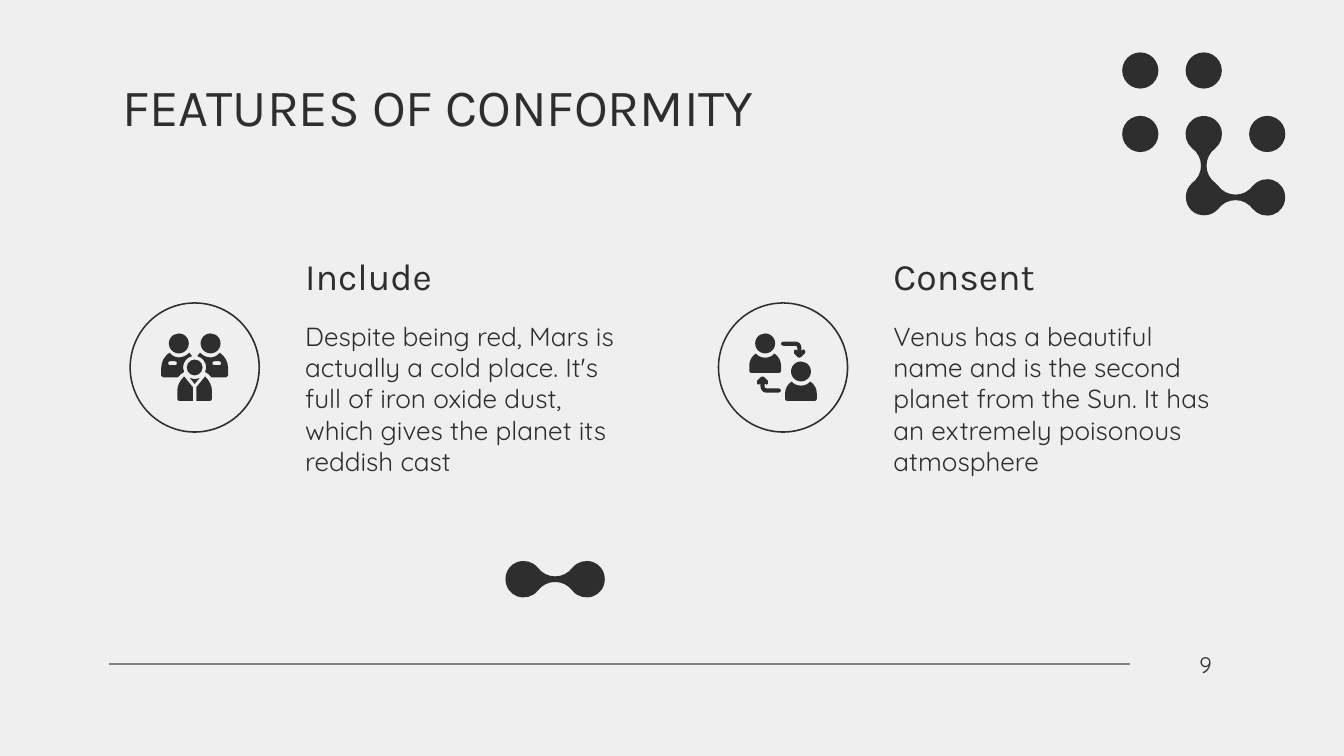
from pptx import Presentation
from pptx.dml.color import RGBColor
from pptx.enum.shapes import MSO_CONNECTOR as Connector, MSO_SHAPE as Shape
from pptx.enum.text import MSO_ANCHOR as Anchor, PP_ALIGN as Align
from pptx.oxml.ns import qn
from pptx.util import Pt
from lxml import etree

INK, PAPER, RULE = "2E2E2E", "EFEFEF", "838383"
TITLE = {"name": "Karla", "size": Pt(28)}
HEADING = {"name": "Karla", "size": Pt(20)}
BODY = {"name": "Quicksand", "size": Pt(14)}
NUMBER = {"name": "Quicksand", "size": Pt(12)}

# Outlines in points: a pair is a corner, six numbers are a Bezier curve
BOND_QUARTER = [(-26.6, 0), (-26.6, 4.3, -23.9, 8, -20.2, 9.2),
                (-16.2, 10.5, -12, 9.4, -9.4, 6.3), (-7, 3.2, -3.8, 1.5, 0, 1.5)]
ELBOW_HALF = [(-6.8, 6.8), (-10.6, 3, -10.6, -3.8, -6.3, -7.6),
              (-3.2, -10, -1.5, -13.2, -1.5, -17), (-1.5, -20.8, -3.2, -24, -6.3, -26.4),
              (-9.4, -29, -10.5, -33.2, -9.2, -37.2), (-8, -40.9, -4.3, -43.6, 0, -43.6),
              (4.3, -43.6, 8, -40.9, 9.2, -37.2), (10.5, -33.2, 9.4, -29, 6.3, -26.4),
              (3.2, -24, 1.5, -20.8, 1.5, -17), (1.5, -13.2, 3.2, -10, 6.3, -7.6), (7, -7)]
PERSON_HALF = [(0, 7.6), (-2, 7.6, -3.7, 6.9, -5, 5.4),
               (-7.2, 6.9, -8.5, 9.2, -8.5, 11.8), (-8.5, 14.7),
               (-8.5, 15.4, -8, 15.8, -7.3, 15.8), (0, 15.8)]
FRONT_HALF = [(-5.6, 4.8), (-7.9, 6.9, -9.3, 9.8, -9.3, 12.7), (-9.3, 17),
              (-9.3, 17.6, -9, 17.9, -8.5, 17.9), (-0.9, 17.9), (-0.9, 10.6)]
COLLAR = [(-2.6, 5.6), (0, 8.8), (2.6, 5.6), (1, 6.5, -1, 6.5, -2.6, 5.6)]
BACK_BODY = [(-13.4, -8), (-16.2, -6.1, -17.9, -3.1, -17.9, 0.2), (-17.9, 4.3),
             (-17.9, 4.9, -17.5, 5.3, -16.9, 5.3), (-9, 5.3),
             (-8, 4, -7, 3, -5.6, 2.4), (-6, 1.7, -6.2, 1, -6.2, 0.2),
             (-6.2, -3, -4.2, -5.4, -1.4, -6.1), (-1.8, -6.8, -2.3, -7.4, -2.9, -8),
             (-4.3, -6.4, -6.3, -5.4, -8.5, -5.4), (-10.5, -5.4, -12.3, -6.4, -13.4, -8)]
BADGE = [(-10.6, -3.4), (-9.1, -3.4, -9.1, -1.2, -10.6, -1.2), (-13.1, -1.2),
         (-14.6, -1.2, -14.6, -3.4, -13.1, -3.4)]
ARROW = [(1.4, -13.7), (-0.4, -13.7, -0.4, -11.4, 1.4, -11.4), (7.9, -11.4),
         (8.5, -11.4, 8.8, -11, 8.8, -10.2), (8.8, -8.8), (8.2, -9.6, 7.4, -9.5, 7, -9),
         (6.6, -8.4, 6.6, -7.8, 7, -7.3), (9, -5.3), (9.5, -4.9, 10.2, -4.9, 10.7, -5.3),
         (12.8, -7.3), (13.2, -7.8, 13.2, -8.4, 12.8, -9),
         (12.3, -9.6, 11.6, -9.6, 11, -8.8), (11, -10.2),
         (11, -12.2, 9.6, -13.7, 7.9, -13.7)]


def color(value):
    return RGBColor.from_string(value)


def pairs(part):
    return list(zip(part[::2], part[1::2]))


def scaled(outline, across, down):
    return [tuple(v for x, y in pairs(part) for v in (x * across, y * down))
            for part in outline]


def backward(outline):
    ends = [part[-2:] for part in outline]
    turned = [ends[-1]]
    for part, end in zip(outline[:0:-1], ends[-2::-1]):
        turned.append(part[2:4] + part[:2] + end if len(part) == 6 else end)
    return turned


def joined(half, mirror):
    return half + backward(mirror)[1:]


def paint(shape):
    shape.shadow.inherit = False
    shape.fill.solid()
    shape.fill.fore_color.rgb = color(INK)
    shape.line.fill.background()
    return shape


def bend(shape, parts):
    """Turn the three line segments of each curve into one Bezier segment."""
    lines = iter(list(shape._element.iter(qn("a:lnTo"))))
    for part in parts:
        segment = next(lines)
        if len(part) == 6:
            segment.tag = qn("a:cubicBezTo")
            for extra in (next(lines), next(lines)):
                segment.append(extra[0])
                extra.getparent().remove(extra)


def add_outline(slide, x, y, *contours):
    moved = [[(Pt(x + dx), Pt(y + dy)) for part in contour for dx, dy in pairs(part)]
             for contour in contours]
    builder = slide.shapes.build_freeform(*moved[0][0])
    for index, points in enumerate(moved):
        if index:
            builder.move_to(*points[0])
        builder.add_line_segments(points[1:], close=True)
    shape = paint(builder.convert_to_shape())
    bend(shape, [part for contour in contours for part in contour[1:]])


def add_round(slide, x, y, size, kind=Shape.OVAL):
    corner = Pt(x - size / 2), Pt(y - size / 2)
    return paint(slide.shapes.add_shape(kind, *corner, Pt(size), Pt(size)))


def add_bond(slide, x, y):
    half = joined(BOND_QUARTER, scaled(BOND_QUARTER, -1, 1))
    add_outline(slide, x, y, joined(half, scaled(half, 1, -1)))


def add_elbow(slide, x, y):
    mirror = [tuple(-v for dx, dy in pairs(part) for v in (dy, dx)) for part in ELBOW_HALF]
    add_outline(slide, x, y, joined(ELBOW_HALF, mirror))


def add_person(slide, x, y):
    add_round(slide, x, y, 10.7)
    add_outline(slide, x, y, joined(PERSON_HALF, scaled(PERSON_HALF, -1, 1)))


def add_group_icon(slide, x, y):
    add_round(slide, x, y, 8.5)
    add_outline(slide, x, y, COLLAR)
    for side in (1, -1):
        add_round(slide, x - 8.5 * side, y - 12.9, 10.7)
        add_outline(slide, x, y, scaled(FRONT_HALF, side, 1))
        add_outline(slide, x, y, scaled(BACK_BODY, side, 1), scaled(BADGE, side, 1))


def add_exchange_icon(slide, x, y):
    add_person(slide, x - 9.6, y - 12.9)
    add_person(slide, x + 9.6, y + 2.1)
    for turn in (1, -1):
        add_outline(slide, x - 1.1, y - 0.2, scaled(ARROW, turn, turn))


def fill_text(box, text, font, align=Align.LEFT):
    frame = box.text_frame
    margins = {f"margin_{side}": Pt(7.2) for side in ("left", "top", "right", "bottom")}
    for name, value in {"word_wrap": True, "vertical_anchor": Anchor.MIDDLE, **margins}.items():
        setattr(frame, name, value)
    para = frame.paragraphs[0]
    para.alignment = align
    span = para.add_run()
    span.text = text
    for name, value in font.items():
        setattr(span.font, name, value)
    span.font.color.rgb = color(INK)


def add_text(slide, bounds, text, font, align=Align.LEFT):
    fill_text(slide.shapes.add_textbox(*map(Pt, bounds)), text, font, align)


def add_rule(slide, left, right, y):
    rule = slide.shapes.add_connector(Connector.STRAIGHT, Pt(right), Pt(y), Pt(left), Pt(y))
    rule.line.color.rgb = color(RULE)
    rule.line.width = Pt(0.75)
    etree.SubElement(rule._element.spPr, qn("a:effectLst"))


def add_feature(slide, left, heading, text, add_icon):
    x, y = left + 35.1, 196.9
    ring = add_round(slide, x, y, 70, Shape.DONUT)
    ring.adjustments[0] = 0.012
    add_icon(slide, x, y)
    add_text(slide, (left + 87.2, 134.6, 189.4, 26.6), heading, HEADING)
    add_text(slide, (left + 87.2, 167, 189.4, 92.9), text, BODY)


def main():
    deck = Presentation()
    deck.slide_width, deck.slide_height = Pt(720), Pt(405)
    page = deck.slides.add_slide(deck.slide_layouts[5])
    page.background.fill.solid()
    page.background.fill.fore_color.rgb = color(PAPER)

    # Title
    title = page.shapes.title
    for name, value in {"left": 58.3, "top": 41.4, "width": 483, "height": 30.2}.items():
        setattr(title, name, Pt(value))
    fill_text(title, "FEATURES OF CONFORMITY", TITLE)

    # Dot lattice in the corner, with three dots bonded into an L
    left, top, pitch = 610.9, 37.8, 34
    for column, row in ((0, 0), (1, 0), (0, 1), (2, 1)):
        add_round(page, left + column * pitch, top + row * pitch, 19.4)
    add_elbow(page, left + pitch, top + 2 * pitch)

    # Features
    add_feature(page, 69.2, "Include",
                "Despite being red, Mars is actually a cold place. It's full of iron "
                "oxide dust, which gives the planet its reddish cast", add_group_icon)
    add_feature(page, 384.4, "Consent",
                "Venus has a beautiful name and is the second planet from the Sun. "
                "It has an extremely poisonous atmosphere", add_exchange_icon)

    # Footer
    add_bond(page, 297.4, 310.3)
    add_rule(page, 58.3, 605.5, 355.8)
    add_text(page, (630, 348.2, 31.7, 15.1), "9", NUMBER, Align.CENTER)
    deck.save("out.pptx")


if __name__ == "__main__":
    main()
